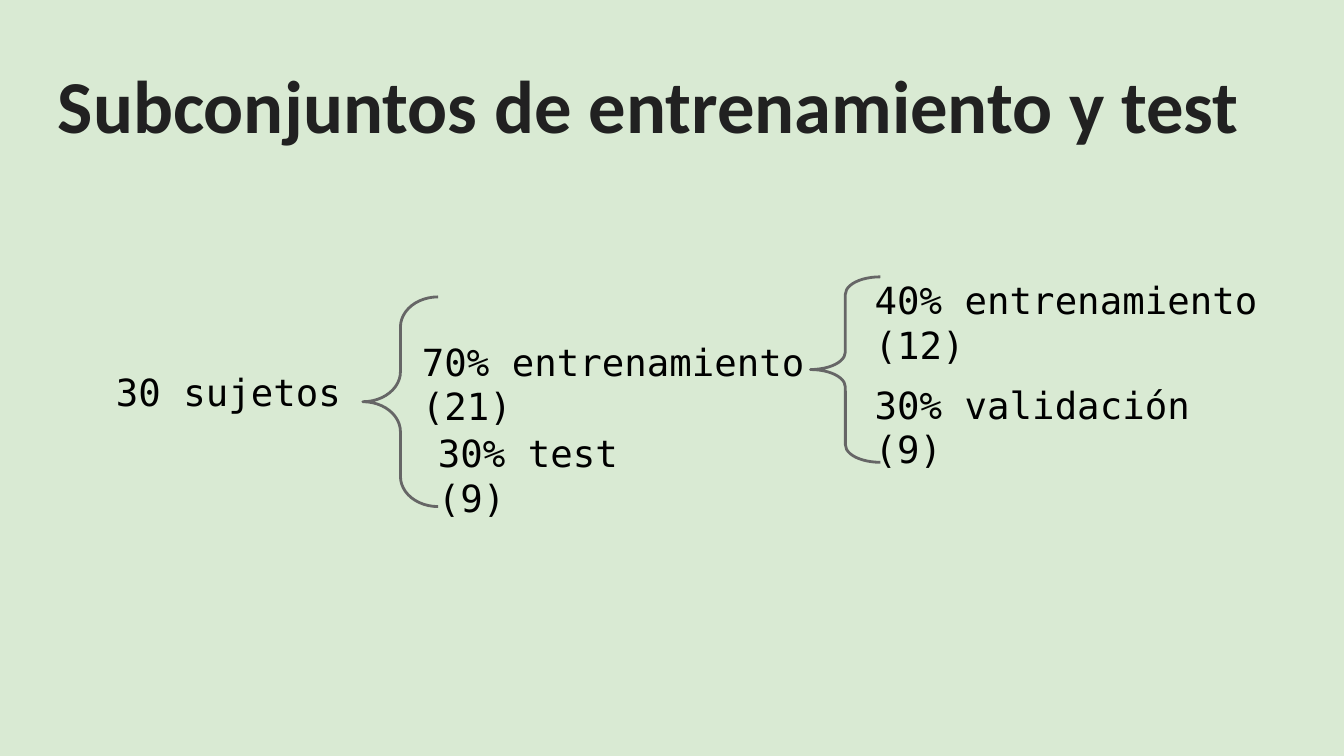
from pptx import Presentation
from pptx.dml.color import RGBColor
from pptx.enum.shapes import MSO_SHAPE
from pptx.enum.text import MSO_ANCHOR, MSO_AUTO_SIZE, PP_ALIGN
from pptx.util import Inches, Pt

LEFT, CENTER = PP_ALIGN.LEFT, PP_ALIGN.CENTER
TOP = MSO_ANCHOR.TOP
NO_AUTOFIT = MSO_AUTO_SIZE.NONE
LEFT_BRACE = MSO_SHAPE.LEFT_BRACE
COLORS = {"background": "D9EAD3", "title": "212121", "text": "000000", "brace": "666666"}


def write_lines(shape, lines, font_name, size, color, alignment=LEFT, bold=False):
    """Fill a text shape with one paragraph per line."""
    frame = shape.text_frame
    frame.word_wrap = True
    frame.auto_size = NO_AUTOFIT
    frame.vertical_anchor = TOP
    frame.margin_left = frame.margin_right = Inches(0.1)
    frame.margin_top = frame.margin_bottom = Inches(0.1)
    for index, line in enumerate(lines):
        paragraph = frame.add_paragraph() if index else frame.paragraphs[0]
        paragraph.alignment = alignment
        run = paragraph.add_run()
        run.text = line
        run.font.name = font_name
        run.font.size = Pt(size)
        run.font.bold = bold
        run.font.color.rgb = RGBColor.from_string(COLORS[color])


presentation = Presentation()
presentation.slide_width = Inches(10)
presentation.slide_height = Inches(10) * 9 // 16
slide = presentation.slides.add_slide(presentation.slide_layouts[5])
slide.background.fill.solid()
slide.background.fill.fore_color.rgb = RGBColor.from_string(COLORS["background"])

title = slide.shapes.title
title.left, title.top = Inches(0.33), Inches(0.34)
title.width, title.height = Inches(9.34), Inches(0.82)
write_lines(title, ["Subconjuntos de entrenamiento y test"], "Calibri", 40, "title", bold=True)

# The split tree: subjects, then training and test, then training and validation
tree = slide.shapes.add_group_shape()

braces = [
    (2.7, 2.21, 0.56, 1.56, 0.4),
    (6.03, 2.06, 0.52, 1.38, 0.25),
]
for left, top, width, height, curve in braces:
    brace = tree.shapes.add_shape(
        LEFT_BRACE, Inches(left), Inches(top), Inches(width), Inches(height))
    brace.adjustments[0] = curve
    brace.adjustments[1] = 0.5
    brace.shadow.inherit = False
    brace.fill.background()
    brace.line.color.rgb = RGBColor.from_string(COLORS["brace"])
    brace.line.width = Pt(1.5)

subsets = [
    (0.25, 2.65, 2.9, 0.67, ["30 sujetos"], CENTER),
    (3.04, 2.42, 3.34, 0.41, ["70% entrenamiento", "(21)"], LEFT),
    (3.16, 3.1, 2.51, 0.34, ["30% test", "(9)"], LEFT),
    (6.41, 1.96, 3.34, 0.82, ["40% entrenamiento (12)"], LEFT),
    (6.41, 2.74, 2.9, 0.34, ["30% validación", "(9)"], LEFT),
]
for left, top, width, height, lines, alignment in subsets:
    label = tree.shapes.add_textbox(Inches(left), Inches(top), Inches(width), Inches(height))
    write_lines(label, lines, "DejaVu Sans Mono", 20, "text", alignment)

presentation.save("out.pptx")
